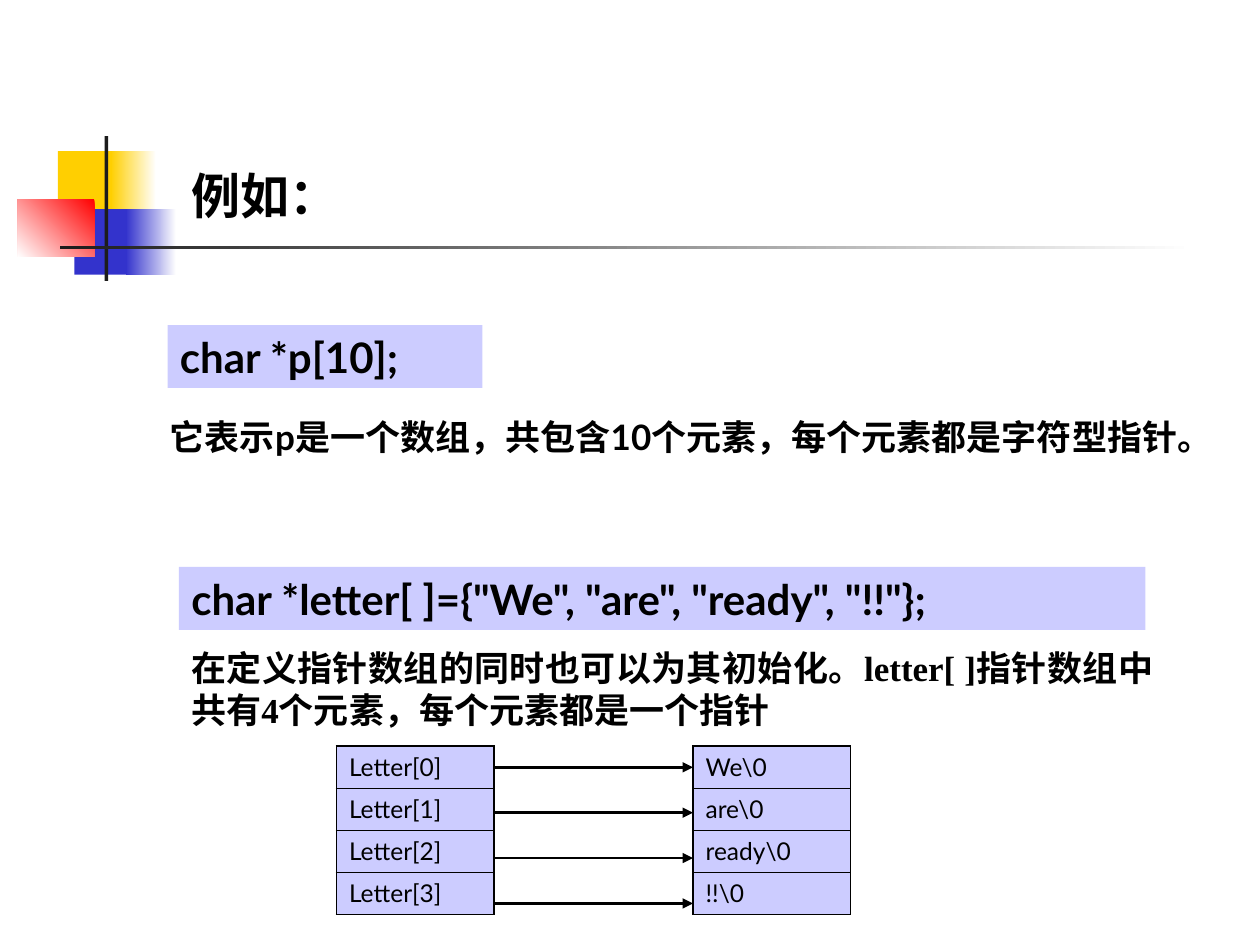
from lxml import etree
from pptx import Presentation, util as u
from pptx.dml.color import RGBColor
from pptx.enum import shapes, text
from pptx.oxml import parse_xml
from pptx.oxml.ns import nsdecls, qn

BLACK = RGBColor(0, 0, 0)
WHITE = RGBColor(255, 255, 255)
INK = RGBColor(0x1C, 0x1C, 0x1C)
YELLOW = RGBColor(0xFF, 0xCF, 0x01)
BLUE = RGBColor(0x33, 0x33, 0xCC)
RED = RGBColor(255, 0, 0)
LILAC = RGBColor(0xCC, 0xCC, 0xFF)
SERIF, SANS, CJK = "Times New Roman", "Lato", "Noto Sans CJK SC"

DECOR = [
    ((0.46, 1.2, 0.48, 0.52), [YELLOW], None),
    ((0.88, 1.2, 0.36, 0.52), [WHITE, YELLOW], 180),
    ((0.59, 1.66, 0.46, 0.52), [BLUE], None),
    ((1, 1.66, 0.4, 0.52), [WHITE, BLUE], 180),
    ((0.14, 1.58, 0.61, 0.46), [RED, WHITE], 225),
    ((0.83, 1.08, 0.03, 1.15), [INK], None),
    ((0.48, 1.95, 9, 0.03), [WHITE, INK], 180),
]
TITLE = [("例如：", SERIF)]
ARRAY_NOTE = [("它表示", SERIF), ("p", SANS), ("是一个数组，共包含", SERIF),
              ("10", SANS), ("个元素，每个元素都是字符型指针。", SERIF)]
INIT_NOTE = [("在定义指针数组的同时也可以为其初始化。letter[ ]", SERIF),
             ("指针数组中共有", CJK), ("4", SERIF),
             ("个元素，每个元素都是一个指针", CJK)]
CODE = [
    ((1.33, 2.58, 2.5, 0.5), "char *p[10];"),
    ((1.42, 4.5, 7.67, 0.5), 'char *letter[ ]={"We", "are", "ready", "!!"};'),
]
POINTERS = ["Letter[0]", "Letter[1]", "Letter[2]", "Letter[3]"]
STRINGS = ["We\\0", "are\\0", "ready\\0", "!!\\0"]
POINTER_X, STRING_X, TABLE_Y = 2.67, 5.5, 5.92
COL_W, ROW_H = 1.25, 0.335
ARROW_Y, ARROW_STEP = 6.09, 0.36


def inches(*values):
    return [u.Inches(v) for v in values]


def add_rect(s, box, colors, angle=None):
    sp = s.shapes.add_shape(shapes.MSO_SHAPE.RECTANGLE, *inches(*box))
    sp.shadow.inherit = False
    sp.line.fill.background()
    if angle is None:
        sp.fill.solid()
        sp.fill.fore_color.rgb = colors[0]
    else:
        sp.fill.gradient()
        sp.fill.gradient_angle = angle
        for stop, color in zip(sp.fill.gradient_stops, colors):
            stop.color.rgb = color
    return sp


def write(tf, runs, size, align=text.PP_ALIGN.LEFT, bold=True):
    tf.word_wrap = True
    p = tf.paragraphs[0]
    p.alignment = align
    p.font.size, p.font.bold, p.font.color.rgb = u.Pt(size), bold, BLACK
    for words, face in runs:
        r = p.add_run()
        r.text = words
        r.font.name = face
        etree.SubElement(r.font._element, qn("a:ea")).set("typeface", CJK)


def add_text(s, box, runs, size, align, anchor=text.MSO_ANCHOR.TOP):
    tf = s.shapes.add_textbox(*inches(*box)).text_frame
    tf.vertical_anchor = anchor
    write(tf, runs, size, align)


def add_list(s, x, items):
    n = len(items)
    table = s.shapes.add_table(n, 1, *inches(x, TABLE_Y, COL_W, ROW_H * n)).table
    table.first_row = table.horz_banding = False
    for i, item in enumerate(items):
        table.rows[i].height = u.Inches(ROW_H)
        cell = table.cell(i, 0)
        write(cell.text_frame, [(item, SANS)], 14, bold=False)
        cell.fill.solid()
        cell.fill.fore_color.rgb = LILAC
        widths = {"L": 1.08, "R": 1.08,
                  "T": 1.08 if i == 0 else 0.45,
                  "B": 1.08 if i == n - 1 else 0.45}
        for k, (side, width) in enumerate(widths.items()):
            cell._tc.get_or_add_tcPr().insert(k, parse_xml(
                f'<a:ln{side} {nsdecls("a")} w="{u.Pt(width)}"><a:solidFill>'
                f'<a:srgbClr val="{BLACK}"/></a:solidFill></a:ln{side}>'))


def add_arrow(s, y):
    line = s.shapes.add_connector(shapes.MSO_CONNECTOR.STRAIGHT,
                                  *inches(POINTER_X + COL_W, y, STRING_X, y))
    line.line.color.rgb = BLACK
    line.line.width = u.Pt(1.5)
    etree.SubElement(line.line._get_or_add_ln(), qn("a:tailEnd")).set("type", "triangle")
    etree.SubElement(line._element.spPr, qn("a:effectLst"))


def main():
    prs = Presentation()
    prs.slide_width, prs.slide_height = inches(10, 7.5)
    s = prs.slides.add_slide(prs.slide_layouts[6])
    for box, colors, angle in DECOR:
        add_rect(s, box, colors, angle)
    add_text(s, (1.42, 1.17, 1.74, 0.66), TITLE, 28,
             text.PP_ALIGN.LEFT, text.MSO_ANCHOR.BOTTOM)
    add_text(s, (1.25, 3.25, 8.75, 0.44), ARRAY_NOTE, 20, text.PP_ALIGN.JUSTIFY)
    add_text(s, (1.42, 5.08, 7.83, 0.77), INIT_NOTE, 20, text.PP_ALIGN.JUSTIFY)
    for box, code in CODE:
        tf = add_rect(s, box, [LILAC]).text_frame
        tf.vertical_anchor = text.MSO_ANCHOR.TOP
        write(tf, [(code, SANS)], 24)
    add_list(s, POINTER_X, POINTERS)
    add_list(s, STRING_X, STRINGS)
    for i in range(len(POINTERS)):
        add_arrow(s, ARROW_Y + i * ARROW_STEP)
    prs.save("out.pptx")


if __name__ == "__main__":
    main()
